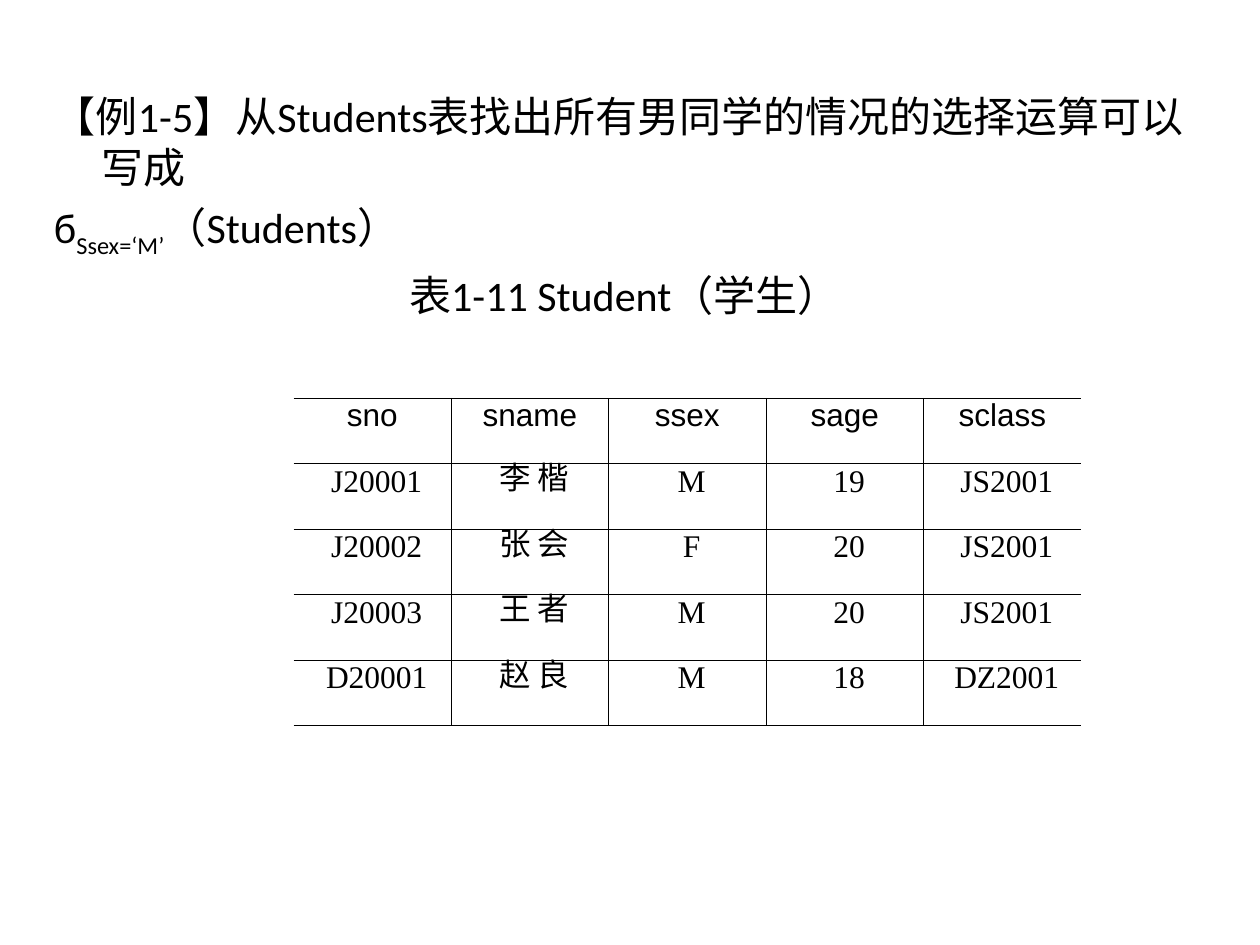
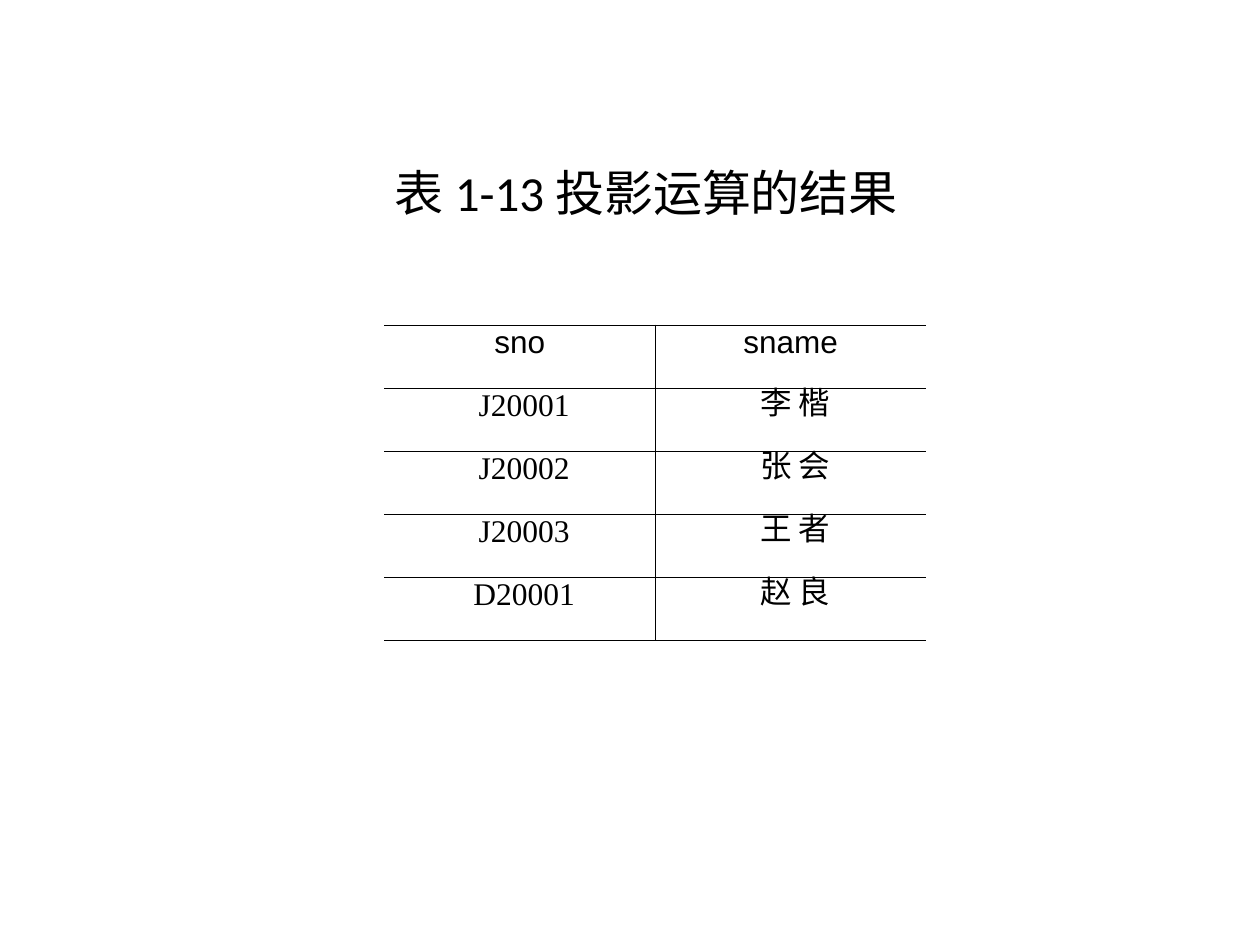
from lxml import etree
from pptx import Presentation
from pptx.dml.color import RGBColor
from pptx.enum.text import PP_ALIGN as Align
from pptx.oxml.ns import qn
from pptx.util import Inches, Pt

COLORS = {"ink": "000000", "paper": "FFFFFF"}
NO_STYLE = "{2D5ABB26-0587-4C30-8999-92F81FD0307C}"
RULE_WIDTH = Pt(0.45)


def write(paragraph, text, font="Calibri", size=24, align=Align.LEFT, left=0.38,
          indent=-0.38, before=None, spacing=None, baseline=None):
    """Append formatted text to a paragraph."""
    paragraph.alignment = align
    paragraph.space_before = None if before is None else Pt(before)
    paragraph.line_spacing = None if spacing is None else Pt(spacing)
    layout = paragraph._p.get_or_add_pPr()
    layout.set("marL", str(Inches(left)))
    layout.set("indent", str(Inches(indent)))
    run = paragraph.add_run()
    run.text = text
    run.font.name = font
    run.font.size = Pt(size)
    run.font.color.rgb = RGBColor.from_string(COLORS["ink"])
    if baseline is not None:
        run._r.get_or_add_rPr().set("baseline", str(baseline * 1000))


def add_ruled_table(slide, rows, left, top, column_width, row_height):
    """Draw a table with inner and horizontal rules but open left and right sides."""
    columns = len(rows[0])
    table = slide.shapes.add_table(
        len(rows), columns, Inches(left), Inches(top),
        Inches(column_width * columns), Inches(row_height * len(rows))).table
    table.first_row = table.horz_banding = False
    table._tbl.tblPr.find(qn("a:tableStyleId")).text = NO_STYLE
    for column in table.columns:
        column.width = Inches(column_width)
    for row_index, row in enumerate(rows):
        table.rows[row_index].height = Inches(row_height)
        is_header = row_index == 0
        for column_index, value in enumerate(row):
            cell = table.cell(row_index, column_index)
            cell.margin_left = cell.margin_right = Inches(0.08)
            cell.margin_top = cell.margin_bottom = Inches(0.05)
            write(cell.text_frame.paragraphs[0], value, size=18, align=Align.CENTER,
                  font="Arial" if is_header else "Times New Roman",
                  left=0 if is_header else 0.07, indent=0, spacing=16.6)
            # Cell borders
            ruled = {"lnL": column_index > 0, "lnR": column_index < columns - 1,
                     "lnT": True, "lnB": True}
            properties = cell._tc.get_or_add_tcPr()
            for side, visible in ruled.items():
                line = etree.SubElement(properties, qn(f"a:{side}"), w=str(RULE_WIDTH))
                if visible:
                    fill = etree.SubElement(line, qn("a:solidFill"))
                    etree.SubElement(fill, qn("a:srgbClr"), val=COLORS["ink"])
                else:
                    etree.SubElement(line, qn("a:noFill"))
            cell.fill.background()


deck = Presentation()
deck.slide_width, deck.slide_height = Inches(10), Inches(7.5)
blank = deck.slide_layouts[6]

# Shared content
students = [
    ["sno", "sname", "ssex", "sage", "sclass"],
    ["J20001", "李 楷", "M", "19", "JS2001"],
    ["J20002", "张 会", "F", "20", "JS2001"],
    ["J20003", "王 者", "M", "20", "JS2001"],
    ["D20001", "赵 良", "M", "18", "DZ2001"],
]
projection = [row[:2] for row in students]

# Slides: body box left, width and top inset, then the table
pages = []
for left, width, top_inset, table_args in [
        (0.33, 9.25, 0.05, (students, 2.33, 3.16, 1.25, 0.52)),
        (0.67, 8.92, 0.62, (projection, 3.05, 2.58, 2.15, 0.5))]:
    slide = deck.slides.add_slide(blank)
    slide.background.fill.solid()
    slide.background.fill.fore_color.rgb = RGBColor.from_string(COLORS["paper"])
    body = slide.shapes.add_textbox(
        Inches(left), Inches(0.67), Inches(width), Inches(6.25)).text_frame
    body.word_wrap = True
    body.margin_top = Inches(top_inset)
    pages.append(body)
    add_ruled_table(slide, *table_args)
selection_body, projection_body = pages

# Slide 1: selection example
write(selection_body.paragraphs[0],
      "【例1-5】从Students表找出所有男同学的情况的选择运算可以写成", before=6)
formula = selection_body.add_paragraph()
for part, baseline in [("б", None), ("Ssex=‘M’", -25), ("（Students）", None)]:
    write(formula, part, before=6, baseline=baseline)
write(selection_body.add_paragraph(), "表1-11 Student（学生）",
      align=Align.CENTER, before=6)

# Slide 2: projection result
write(projection_body.paragraphs[0], "表 1-13 投影运算的结果",
      size=28, align=Align.CENTER, before=7)

deck.save("out.pptx")
